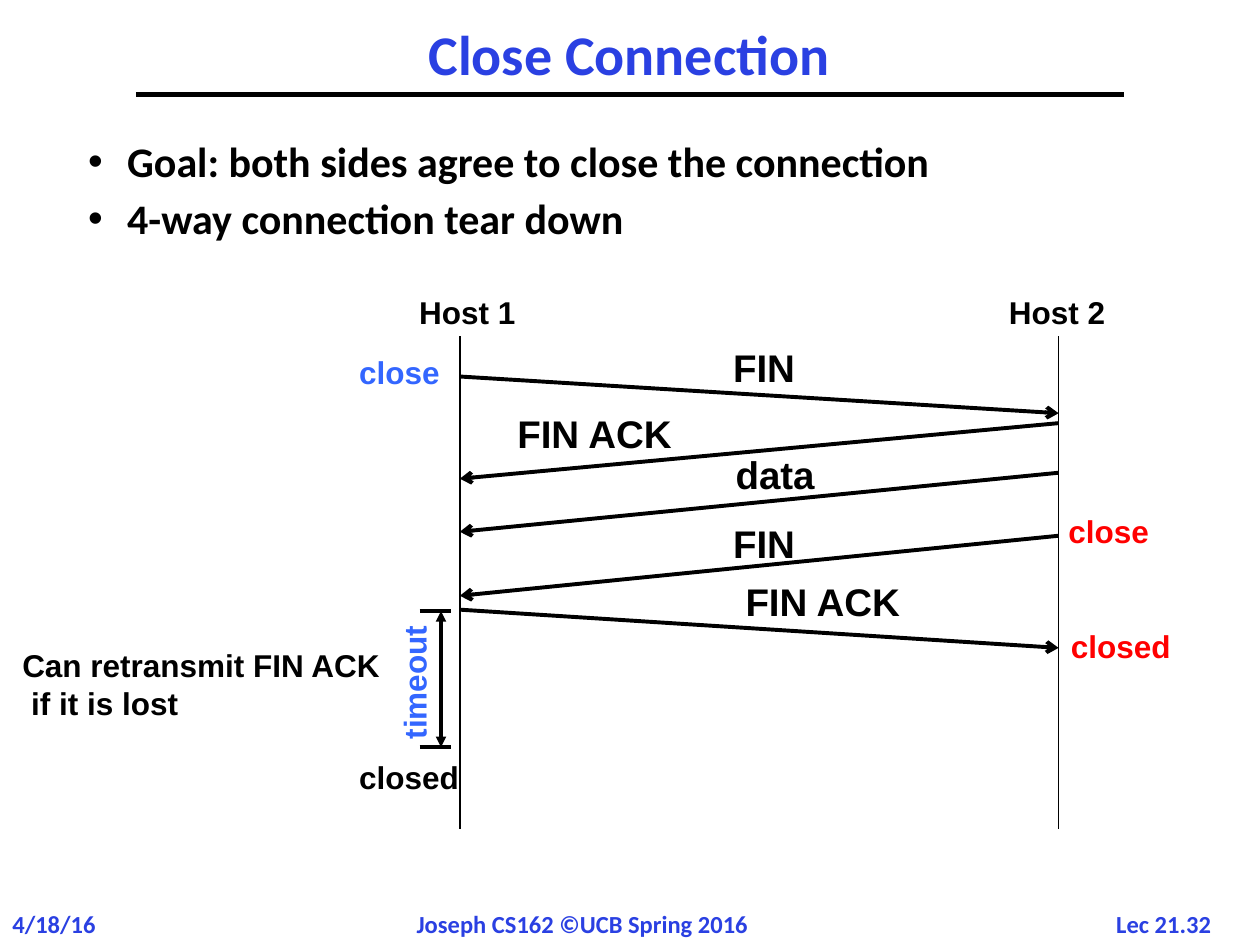
from dataclasses import dataclass

from lxml import etree
from pptx import Presentation
from pptx import util as u
from pptx.dml.color import RGBColor
from pptx.enum import text
from pptx.oxml.ns import qn

COLORS = {"heading": "2A40E2", "ink": "000000", "host1": "3366FF", "host2": "FF0000"}
HOST1_X, HOST2_X = 9.27, 21.34
LIFELINE_TOP, LIFELINE_BOTTOM = 6.78, 16.71
TIMEOUT_TOP, TIMEOUT_BOTTOM = 12.32, 15.06
BAR_LEFT, BAR_RIGHT, TIMEOUT_X = 8.46, 9.09, 8.89


@dataclass
class Label:
    lines: tuple[str, ...]
    left: float
    top: float
    width: float
    height: float = 1.02
    color: str = "ink"
    size: int = 18
    font: str = "Arial"
    rotation: int = 0
    centered: bool = False
    last_indent: float = 0
    side_inset: float = 0.25
    end_inset: float = 0.13


@dataclass
class Message:
    name: str
    from_host1: bool
    start_y: float
    end_y: float
    label_left: float
    label_top: float
    label_width: float


MESSAGES = [
    Message("FIN", True, 7.59, 8.33, 14.55, 6.83, 2),
    Message("FIN ACK", False, 8.53, 9.65, 10.2, 8.15, 3.8),
    Message("data", False, 9.53, 10.72, 14.6, 8.99, 2.4),
    Message("FIN", False, 10.8, 12.01, 14.55, 10.37, 2),
    Message("FIN ACK", True, 12.29, 13.06, 14.8, 11.54, 3.8),
]

LABELS = [
    Label(("Host 1",), 8.2, 5.77, 2.46),
    Label(("Host 2",), 20.09, 5.77, 2.46),
    Label(("Can retransmit FIN ACK", "if it is lost"), 0.2, 12.9, 8.08, 1.8, last_indent=0.18),
    Label(("timeout",), 6.91, 13.21, 2.87, color="host1", rotation=270),
    Label(("closed",), 6.99, 15.16, 2.54),
    Label(("close",), 6.99, 6.99, 2.16, color="host1"),
    Label(("close",), 21.29, 10.19, 2.16, color="host2"),
    Label(("closed",), 21.34, 12.52, 2.54, color="host2"),
]

FOOTERS = [
    Label(("4/18/16",), 0, 18.19, 2.5, 0.86, "heading", 14, "Calibri"),
    Label(("Joseph CS162 ©UCB Spring 2016",), 8.15, 18.19, 7.32, 0.86, "heading", 14, "Calibri"),
    Label(("Lec 21.32",), 22.15, 18.19, 2.62, 0.86, "heading", 14, "Calibri", centered=True),
]


def format_font(paragraph, name: str, size: int, color: str) -> None:
    values = {"name": name, "size": u.Pt(size), "bold": True}
    for attribute, value in values.items():
        setattr(paragraph.font, attribute, value)
    paragraph.font.color.rgb = RGBColor.from_string(COLORS[color])


def place(shape, left: float, top: float, width: float, height: float) -> None:
    values = {"left": left, "top": top, "width": width, "height": height}
    for attribute, value in values.items():
        setattr(shape, attribute, u.Cm(value))


def set_indent(paragraph, margin: float, first_line: float = 0) -> None:
    properties = paragraph._p.get_or_add_pPr()
    properties.set("marL", str(u.Cm(margin)))
    properties.set("indent", str(u.Cm(first_line)))


def draw_label(slide, label: Label) -> None:
    shape = slide.shapes.add_textbox(0, 0, 0, 0)
    place(shape, label.left, label.top, label.width, label.height)
    shape.rotation = label.rotation
    frame = shape.text_frame
    frame.word_wrap = False
    insets = {"margin_left": label.side_inset, "margin_right": label.side_inset,
              "margin_top": label.end_inset, "margin_bottom": label.end_inset}
    for attribute, value in insets.items():
        setattr(frame, attribute, u.Cm(value))
    frame.text = "\n".join(label.lines)
    for paragraph in frame.paragraphs:
        if label.centered:
            paragraph.alignment = text.PP_ALIGN.CENTER
        format_font(paragraph, label.font, label.size, label.color)
    if label.last_indent:
        set_indent(frame.paragraphs[-1], label.last_indent)


def draw_line(slide, x1: float, y1: float, x2: float, y2: float, width: float,
              head: str = "", tail: str = "") -> None:
    ends = [u.Cm(value) for value in (x1, y1, x2, y2)]
    connector = slide.shapes.add_connector(1, *ends)
    connector.line.width = u.Pt(width)
    connector.line.color.rgb = RGBColor.from_string(COLORS["ink"])
    outline = connector.line._get_or_add_ln()
    for tag, kind in (("a:headEnd", head), ("a:tailEnd", tail)):
        if kind:
            etree.SubElement(outline, qn(tag), type=kind)
    etree.SubElement(connector._element.spPr, qn("a:effectLst"))


def draw_message(slide, message: Message) -> None:
    start_x, end_x = (HOST1_X, HOST2_X) if message.from_host1 else (HOST2_X, HOST1_X)
    draw_line(slide, start_x, message.start_y, end_x, message.end_y, 2.25, tail="arrow")
    draw_label(slide, Label((message.name,), message.label_left, message.label_top,
                            message.label_width, 1.17, size=22,
                            side_inset=0.23, end_inset=0.11))


def fill_title(slide) -> None:
    title = slide.shapes.title
    place(title, 2.74, 0.43, 19.89, 1.47)
    frame = title.text_frame
    frame.text = "Close Connection"
    frame.auto_size = text.MSO_AUTO_SIZE.NONE
    frame.vertical_anchor = text.MSO_ANCHOR.MIDDLE
    paragraph = frame.paragraphs[0]
    paragraph.alignment = text.PP_ALIGN.CENTER
    paragraph.line_spacing = 0.9
    format_font(paragraph, "Calibri", 32, "heading")


def fill_body(slide) -> None:
    body = slide.placeholders[1]
    place(body, 1.52, 2.72, 19.89, 1.9)
    frame = body.text_frame
    frame.text = "Goal: both sides agree to close the connection\n4-way connection tear down"
    frame.auto_size = text.MSO_AUTO_SIZE.NONE
    frame.vertical_anchor = text.MSO_ANCHOR.TOP
    for index, paragraph in enumerate(frame.paragraphs):
        set_indent(paragraph, 0.79, -0.79)
        paragraph.line_spacing = 0.9
        paragraph.space_before = u.Pt(6.5 if index else 0)
        etree.SubElement(paragraph._p.get_or_add_pPr(), qn("a:buChar"), char="•")
        format_font(paragraph, "Calibri", 24, "ink")


def main() -> None:
    presentation = Presentation()
    presentation.slide_width, presentation.slide_height = u.Cm(25.4), u.Cm(19.05)
    slide = presentation.slides.add_slide(presentation.slide_layouts[1])
    fill_title(slide)
    fill_body(slide)
    draw_line(slide, 2.74, 1.9, 22.66, 1.9, 3)
    for message in MESSAGES:
        draw_message(slide, message)
    for x in (HOST1_X, HOST2_X):
        draw_line(slide, x, LIFELINE_TOP, x, LIFELINE_BOTTOM, 1)
    for y in (TIMEOUT_TOP, TIMEOUT_BOTTOM):
        draw_line(slide, BAR_LEFT, y, BAR_RIGHT, y, 2)
    draw_line(slide, TIMEOUT_X, TIMEOUT_BOTTOM, TIMEOUT_X, TIMEOUT_TOP, 2,
              head="triangle", tail="triangle")
    for label in LABELS + FOOTERS:
        draw_label(slide, label)
    presentation.save("out.pptx")


if __name__ == "__main__":
    main()
